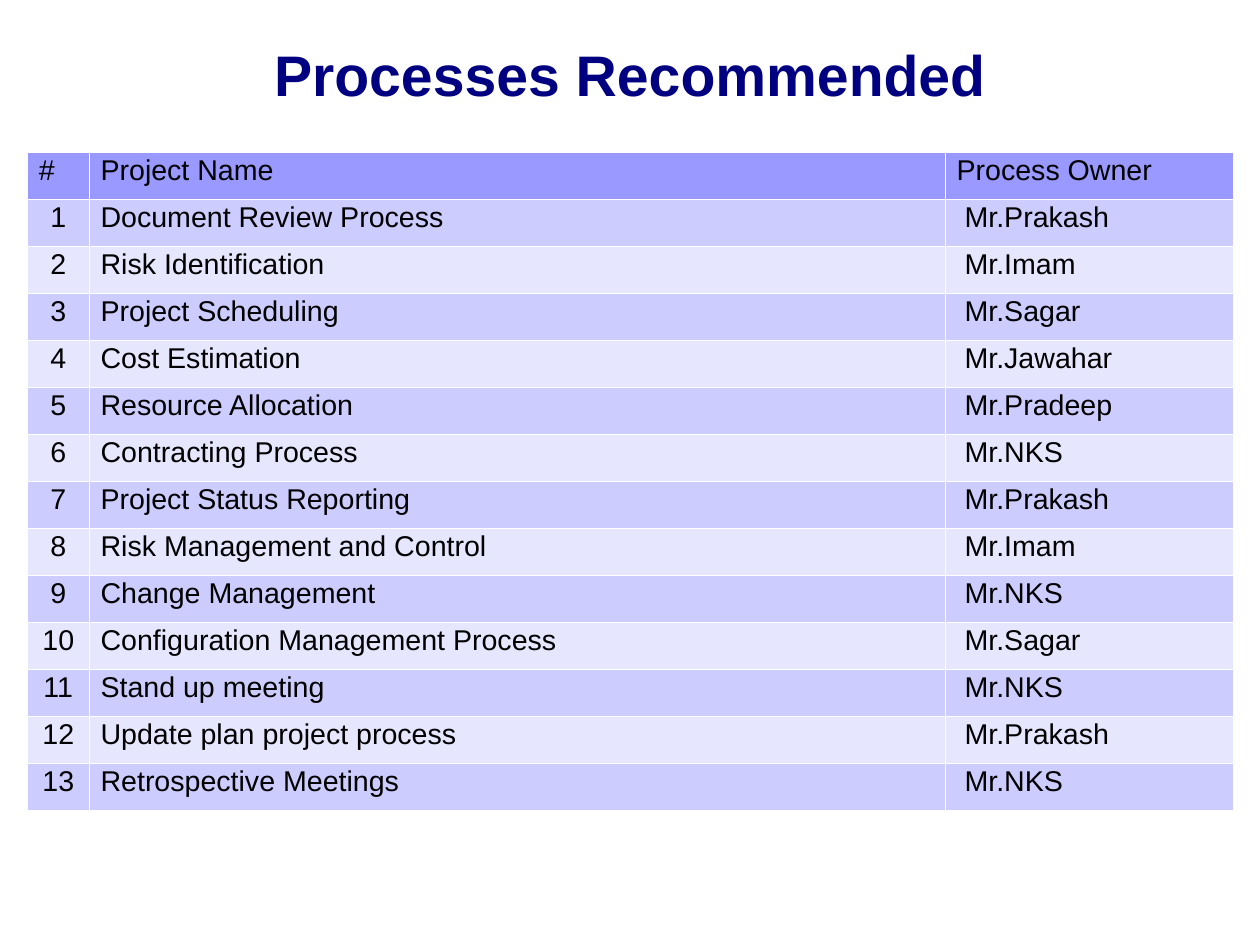
import dataclasses

import pptx
import pptx.dml.color
import pptx.enum.text
import pptx.oxml
import pptx.oxml.ns
import pptx.util

Inches = pptx.util.Inches
ALIGN = pptx.enum.text.PP_ALIGN
FONT = "Arial"
COLORS = {
    "title": "000080",
    "text": "000000",
    "head": "9999FF",
    "odd": "CCCCFF",
    "even": "E6E6FF",
    "border": "FFFFFF",
}
WIDTHS = (0.54, 7.49, 2.52)
HEADS = ("#", "Project Name", "Process Owner")


@dataclasses.dataclass
class Process:
    name: str
    owner: str


@dataclasses.dataclass
class Style:
    size: float
    color: str
    spacing: float
    bold: bool = False


TITLE = Style(36, "title", 0.93, True)
BODY = Style(18, "text", 0.87)

PROCESSES = [
    Process("Document Review Process", "Mr.Prakash"),
    Process("Risk Identification", "Mr.Imam"),
    Process("Project Scheduling", "Mr.Sagar"),
    Process("Cost Estimation", "Mr.Jawahar"),
    Process("Resource Allocation", "Mr.Pradeep"),
    Process("Contracting Process", "Mr.NKS"),
    Process("Project Status Reporting", "Mr.Prakash"),
    Process("Risk Management and Control", "Mr.Imam"),
    Process("Change Management", "Mr.NKS"),
    Process("Configuration Management Process", "Mr.Sagar"),
    Process("Stand up meeting", "Mr.NKS"),
    Process("Update plan project process", "Mr.Prakash"),
    Process("Retrospective Meetings", "Mr.NKS"),
]


def get_color(key: str) -> pptx.dml.color.RGBColor:
    return pptx.dml.color.RGBColor.from_string(COLORS[key])


def write(frame, text: str, style: Style, align: ALIGN) -> None:
    para = frame.paragraphs[0]
    para.alignment = align
    para.line_spacing = style.spacing
    run = para.add_run()
    run.text = text
    run.font.name = FONT
    run.font.size = pptx.util.Pt(style.size)
    run.font.bold = style.bold
    run.font.color.rgb = get_color(style.color)


def draw_title(slide, text: str) -> None:
    box = slide.shapes.add_textbox(Inches(0.55), Inches(0.2), Inches(9.92), Inches(0.91))
    frame = box.text_frame
    frame.word_wrap = True
    frame.vertical_anchor = pptx.enum.text.MSO_ANCHOR.MIDDLE
    frame.margin_left = frame.margin_right = frame.margin_bottom = 0
    frame.margin_top = Inches(0.05)
    write(frame, text, TITLE, ALIGN.CENTER)


def add_border(cell) -> None:
    props = cell._tc.get_or_add_tcPr()
    for side in "LRTB":
        props.append(pptx.oxml.parse_xml(
            f'<a:ln{side} {pptx.oxml.ns.nsdecls("a")} w="{pptx.util.Pt(0.06)}">'
            f'<a:solidFill><a:srgbClr val="{COLORS["border"]}"/></a:solidFill>'
            f'</a:ln{side}>'
        ))


def draw_cell(cell, text: str, fill: str, align: ALIGN = ALIGN.LEFT) -> None:
    cell.margin_left = cell.margin_right = Inches(0.1)
    cell.margin_top = cell.margin_bottom = Inches(0.05)
    add_border(cell)
    cell.fill.solid()
    cell.fill.fore_color.rgb = get_color(fill)
    write(cell.text_frame, text, BODY, align)


def draw_table(slide, items: list[Process]) -> None:
    table = slide.shapes.add_table(
        len(items) + 1, len(HEADS),
        Inches(0.24), Inches(1.33), Inches(sum(WIDTHS)), Inches(5.76),
    ).table
    table.first_row = table.horz_banding = False
    for col, width in zip(table.columns, WIDTHS):
        col.width = Inches(width)
    for col, text in enumerate(HEADS):
        draw_cell(table.cell(0, col), text, "head")
    for row, item in enumerate(items, 1):
        fill = "odd" if row % 2 else "even"
        draw_cell(table.cell(row, 0), str(row), fill, ALIGN.CENTER)
        draw_cell(table.cell(row, 1), item.name, fill)
        draw_cell(table.cell(row, 2), f" {item.owner}", fill)


def main() -> None:
    deck = pptx.Presentation()
    deck.slide_width = Inches(28 / 2.54)
    deck.slide_height = Inches(21 / 2.54)
    slide = deck.slides.add_slide(deck.slide_layouts[6])
    draw_title(slide, "Processes Recommended")
    draw_table(slide, PROCESSES)
    deck.save("out.pptx")


if __name__ == "__main__":
    main()
